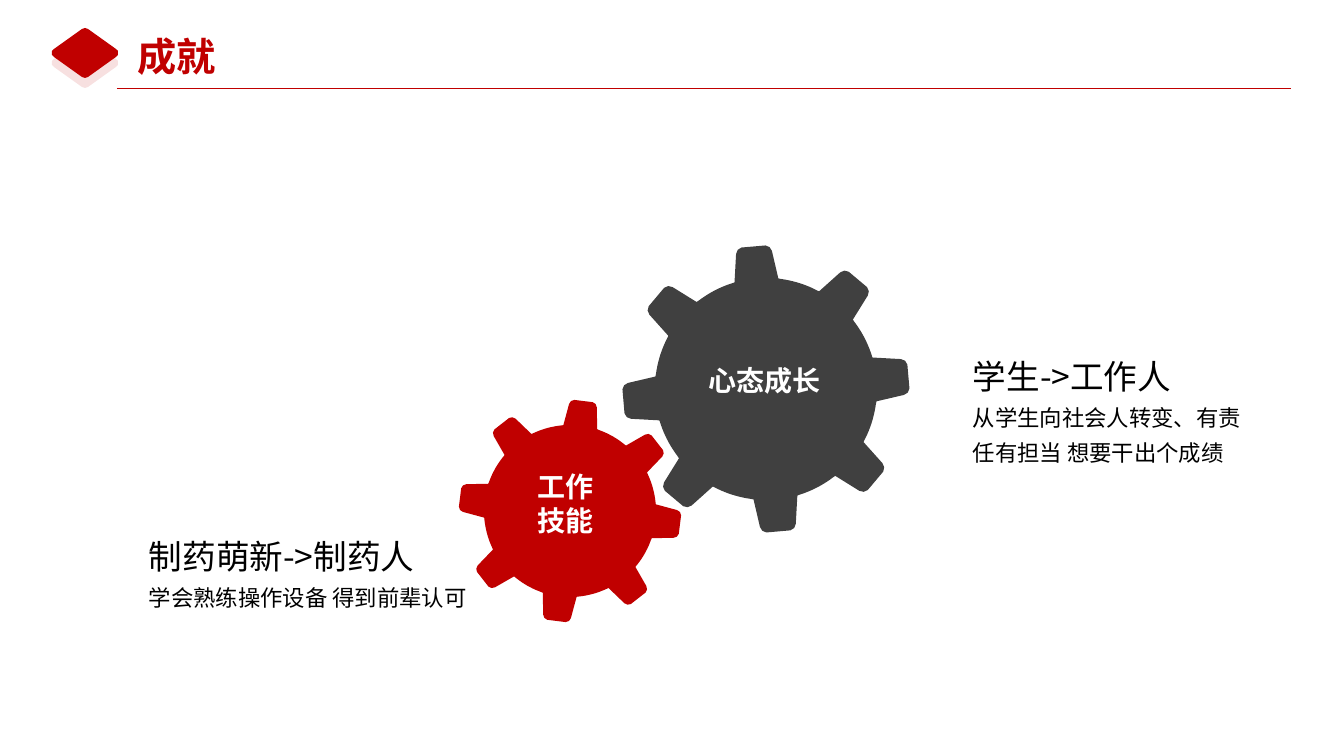
from math import cos, hypot, radians, sin, atan2, degrees

from lxml.etree import SubElement
from pptx import Presentation
from pptx.dml.color import RGBColor
from pptx.enum.shapes import MSO_CONNECTOR
from pptx.enum.text import MSO_ANCHOR, MSO_AUTO_SIZE, PP_ALIGN
from pptx.oxml.ns import qn
from pptx.util import Pt

W, H = 1344, 756
SCALE = 12192000 / W
RED, GREY, BLACK, WHITE = "C00000", "404040", "000000", "FFFFFF"
LATIN, CJK = "Arial", "Noto Sans CJK SC"

TITLE = ("成就", (127, 27, 100, 57))
RULE = (117, 88, 1291, 88)
DIAMOND = [(3, -24), (31, -4), (33, -2)]
DIAMONDS = [(85, 63, 12), (85, 53, 100)]
TOOTH = [(109, 22), (137, 18), (141, 16), (143, 12)]
TEETH = 8
GEARS = [
    (570, 511, 86, 7, RED),
    (766, 389, 111, -5, GREY),
]
NOTES = [
    (["学生->工作人", "从学生向社会人转变、有责任有担当 想要干出个成绩"], (963, 339, 298, 133)),
    (["制药萌新->制药人", "学会熟练操作设备 得到前辈认可"], (139, 519, 353, 98)),
]
LABELS = [
    (["工作", "技能"], (527, 465, 77, 78)),
    (["心态成长"], (698, 359, 133, 44)),
]


def px(n):
    return round(n * SCALE)


def color(value):
    return RGBColor.from_string(value)


def outline(shapes, points, fill, opacity=100):
    pts = [(px(x), px(y)) for x, y in points]
    builder = shapes.build_freeform(*pts[0])
    builder.add_line_segments(pts[1:])
    s = builder.convert_to_shape()
    s.shadow.inherit = False
    s.fill.solid()
    s.fill.fore_color.rgb = color(fill)
    s.line.fill.background()
    if opacity < 100:
        clr = s._element.spPr.find(".//" + qn("a:srgbClr"))
        SubElement(clr, qn("a:alpha")).set("val", str(opacity * 1000))


def diamond_points(cx, cy):
    right = [(0, -25)] + DIAMOND + [(33, 0)]
    right += [(x, -y) for x, y in reversed(right[:-1])]
    left = [(-x, y) for x, y in reversed(right[1:-1])]
    return [(cx + x, cy + y) for x, y in right + left]


def gear_points(cx, cy, radius, turn):
    k = radius / 111
    profile = [(u, -v) for u, v in TOOTH] + TOOTH[::-1]
    polar = [(hypot(u, v) * k, degrees(atan2(v, u))) for u, v in profile]
    polar += [(radius, a) for a in range(13, 34, 2)]
    points = []
    for i in range(TEETH):
        for r, a in polar:
            t = radians(turn + i * 360 / TEETH + a)
            points.append((cx + r * cos(t), cy + r * sin(t)))
    return points


def write(s, lines, box, sizes, fill, latin, bold=False, wrap=False,
          align=PP_ALIGN.LEFT, spacing=1.0):
    s.left, s.top, s.width, s.height = map(px, box)
    tf = s.text_frame
    tf.text = "\n".join(lines)
    tf.word_wrap = wrap
    tf.auto_size = MSO_AUTO_SIZE.NONE
    tf.vertical_anchor = MSO_ANCHOR.TOP
    for p, size in zip(tf.paragraphs, sizes):
        p.alignment = align
        p.line_spacing = spacing
        r = p.runs[0]
        r.font.size = Pt(size)
        r.font.bold = bold
        r.font.color.rgb = color(fill)
        r.font.name = latin
        SubElement(r.font._element, qn("a:ea")).set("typeface", CJK)


def main():
    prs = Presentation()
    prs.slide_width, prs.slide_height = px(W), px(H)
    slide = prs.slides.add_slide(prs.slide_layouts[5])
    shapes = slide.shapes

    for cx, cy, opacity in DIAMONDS:
        outline(shapes, diamond_points(cx, cy), RED, opacity)

    rule = shapes.add_connector(MSO_CONNECTOR.STRAIGHT, *map(px, RULE))
    rule.line.color.rgb = color(RED)
    rule.line.width = Pt(0.5)
    SubElement(rule._element.spPr, qn("a:effectLst"))

    text, box = TITLE
    write(shapes.title, [text], box, [28], RED, LATIN, bold=True)

    for cx, cy, radius, turn, fill in GEARS:
        outline(shapes, gear_points(cx, cy, radius, turn), fill)

    for lines, box in NOTES:
        write(shapes.add_textbox(0, 0, 0, 0), lines, box, [24, 16], BLACK, CJK,
              wrap=True, spacing=1.3)

    for lines, box in LABELS:
        write(shapes.add_textbox(0, 0, 0, 0), lines, box, [20, 20], WHITE, LATIN,
              bold=True, align=PP_ALIGN.CENTER)

    prs.save("out.pptx")


if __name__ == "__main__":
    main()
